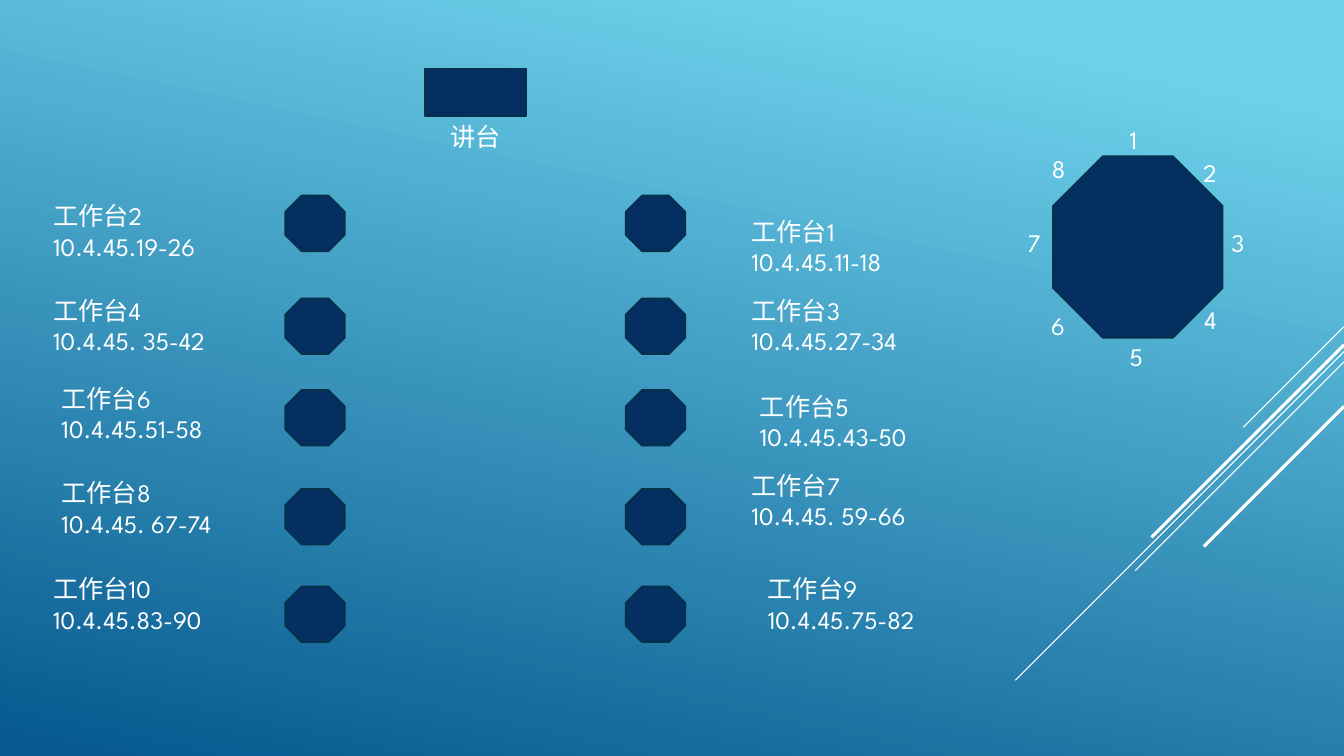
from dataclasses import dataclass

from lxml import etree
from pptx import Presentation
from pptx import util as u
from pptx.dml.color import RGBColor
from pptx.enum import shapes, text
from pptx.oxml.ns import qn
from pptx.shapes.autoshape import Shape
from pptx.slide import Slide

COLOURS = {
    "sky": "6ED2EB",
    "deep": "06588E",
    "navy": "052F61",
    "outline": "043148",
    "white": "FFFFFF",
}
FONT = "League Spartan"
SLIDE_WIDTH, SLIDE_HEIGHT = 33.87, 19.05  # all lengths in cm

BENCH_WIDTH, BENCH_HEIGHT = 1.5, 1.4
BENCH_COLUMNS = (7.19, 15.77)
BENCH_ROWS = (4.93, 7.52, 9.83, 12.32, 14.78)
SEATS_PER_BENCH = 8
FIRST_ADDRESS = 11


@dataclass(frozen=True)
class Ray:
    """A 45-degree line running down and left from the slide's right edge."""
    top: float
    reach: float
    weight: float


@dataclass(frozen=True)
class BenchLabel:
    number: int
    left: float
    top: float
    width: float = 4.6
    subnet: str = "10.4.45."

    @property
    def lines(self) -> list[str]:
        first = FIRST_ADDRESS + SEATS_PER_BENCH * (self.number - 1)
        last = first + SEATS_PER_BENCH - 1
        return [f"工作台{self.number}", f"{self.subnet}{first}-{last}"]


@dataclass(frozen=True)
class Seat:
    number: int
    left: float
    top: float


RAYS = (
    Ray(8.23, 2.54, 0.75),
    Ray(8.86, 8.28, 0.75),
    Ray(9.12, 5.26, 0.75),
    Ray(8.69, 4.85, 2.25),
    Ray(10.24, 3.53, 2.25),
)
BENCH_LABELS = (
    BenchLabel(1, 18.69, 5.33),
    BenchLabel(2, 1.09, 4.93),
    BenchLabel(3, 18.69, 7.32),
    BenchLabel(4, 1.09, 7.32, subnet="10.4.45. "),
    BenchLabel(5, 18.9, 9.73),
    BenchLabel(6, 1.3, 9.53),
    BenchLabel(7, 18.69, 11.73, subnet="10.4.45. "),
    BenchLabel(8, 1.3, 11.91, subnet="10.4.45. "),
    BenchLabel(9, 19.1, 14.33, width=5.2),
    BenchLabel(10, 1.09, 14.33, width=5.2),
)
SEATS = (
    Seat(1, 28.22, 3.0),
    Seat(2, 30.07, 3.84),
    Seat(3, 30.78, 5.61),
    Seat(4, 30.1, 7.54),
    Seat(5, 28.22, 8.48),
    Seat(6, 26.24, 7.7),
    Seat(7, 25.65, 5.61),
    Seat(8, 26.26, 3.73),
)


def colour(name: str) -> RGBColor:
    return RGBColor.from_string(COLOURS[name])


def paint_background(slide: Slide) -> None:
    fill = slide.background.fill
    fill.gradient()
    fill.gradient_angle = 258
    for stop, position, name in zip(fill.gradient_stops, (0.1, 1.0), ("sky", "deep")):
        stop.position = position
        stop.color.rgb = colour(name)


def add_ray(slide: Slide, ray: Ray) -> None:
    connector = slide.shapes.add_connector(
        shapes.MSO_CONNECTOR.STRAIGHT,
        u.Cm(SLIDE_WIDTH), u.Cm(ray.top),
        u.Cm(SLIDE_WIDTH - ray.reach), u.Cm(ray.top + ray.reach),
    )
    connector.line.color.rgb = colour("white")
    connector.line.width = u.Pt(ray.weight)
    properties = connector.element.find(qn("p:spPr"))
    etree.SubElement(properties, qn("a:effectLst"))


def add_furniture(slide: Slide, kind: shapes.MSO_SHAPE, left: float, top: float,
                  width: float, height: float) -> Shape:
    shape = slide.shapes.add_shape(
        kind, u.Cm(left), u.Cm(top), u.Cm(width), u.Cm(height))
    shape.shadow.inherit = False
    shape.fill.solid()
    shape.fill.fore_color.rgb = colour("navy")
    shape.line.color.rgb = colour("outline")
    shape.line.width = u.Pt(1.25)
    return shape


def add_label(slide: Slide, lines: list[str], left: float, top: float, *,
              width: float, height: float = 1.02, wrap: bool = True,
              size: float = 18, font: str = FONT, fill: str = "white") -> Shape:
    """Add a text box with one paragraph for each line."""
    box = slide.shapes.add_textbox(
        u.Cm(left), u.Cm(top), u.Cm(width), u.Cm(height))
    frame = box.text_frame
    frame.word_wrap = wrap
    frame.auto_size = text.MSO_AUTO_SIZE.SHAPE_TO_FIT_TEXT
    frame.text = "\n".join(lines)
    for paragraph in frame.paragraphs:
        for run in paragraph.runs:
            run.font.name = font
            run.font.size = u.Pt(size)
            run.font.color.rgb = colour(fill)
    return box


def main() -> None:
    presentation = Presentation()
    presentation.slide_width = u.Cm(SLIDE_WIDTH)
    presentation.slide_height = u.Cm(SLIDE_HEIGHT)
    slide = presentation.slides.add_slide(
        presentation.slide_layouts.get_by_name("Blank"))

    paint_background(slide)
    for ray in RAYS:
        add_ray(slide, ray)

    add_furniture(slide, shapes.MSO_SHAPE.RECTANGLE, 10.72, 1.73, 2.54, 1.19)
    for label in BENCH_LABELS:
        add_label(slide, label.lines, label.left, label.top,
                  width=label.width, height=1.8)
    add_label(slide, ["讲台"], 11.1, 2.92, width=1.8)

    for left in BENCH_COLUMNS:
        for top in BENCH_ROWS:
            add_furniture(slide, shapes.MSO_SHAPE.OCTAGON, left, top,
                          BENCH_WIDTH, BENCH_HEIGHT)

    add_furniture(slide, shapes.MSO_SHAPE.OCTAGON, 26.54, 3.94, 4.27, 4.57)
    for seat in SEATS:
        add_label(slide, [str(seat.number)], seat.left, seat.top,
                  width=0.86, wrap=False)

    presentation.save("out.pptx")


if __name__ == "__main__":
    main()
